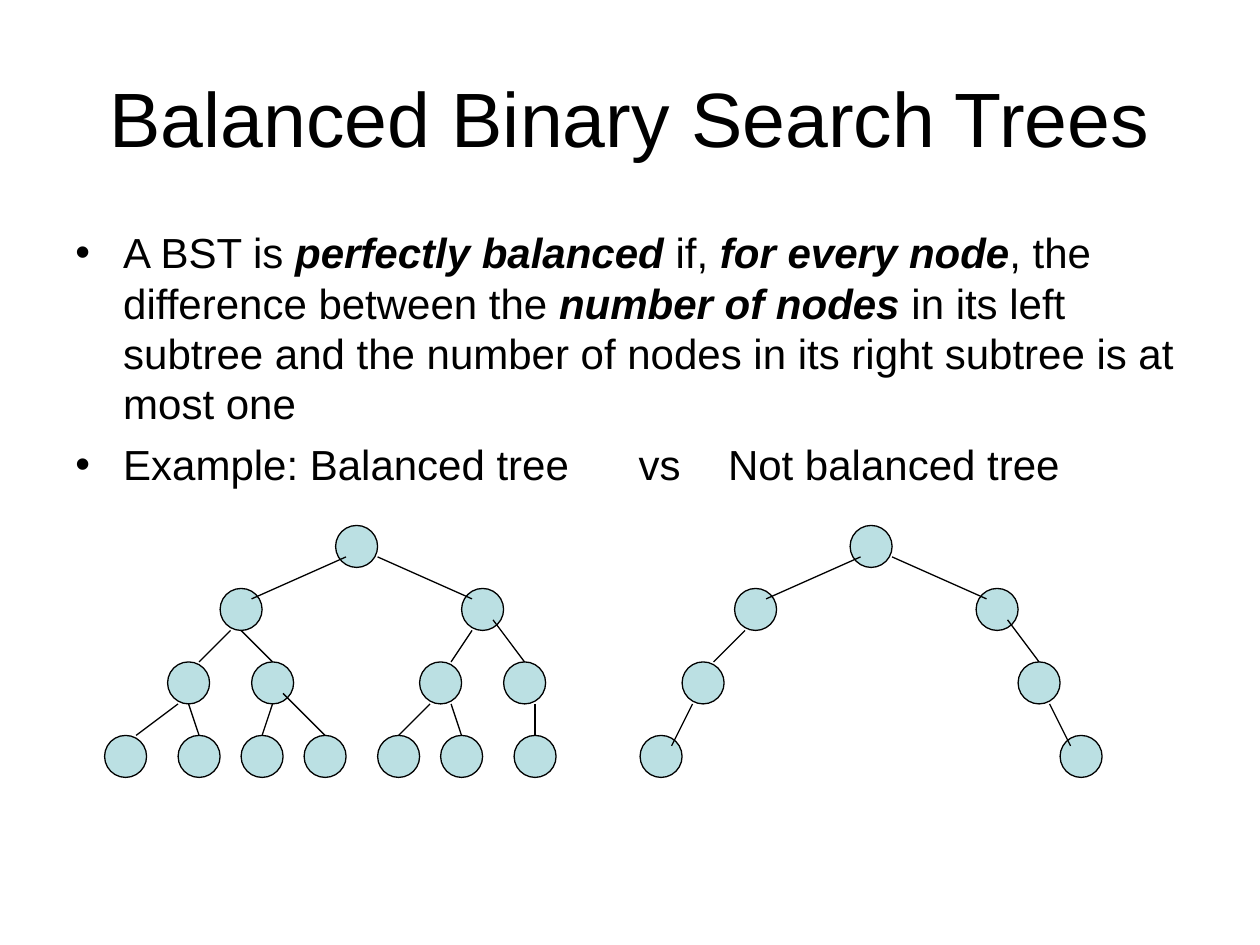
from lxml import etree
from pptx import Presentation
from pptx.dml.color import RGBColor
from pptx.enum.shapes import MSO_CONNECTOR, MSO_SHAPE
from pptx.enum.text import MSO_ANCHOR, PP_ALIGN
from pptx.oxml.ns import qn
from pptx.util import Inches, Pt

STRAIGHT = MSO_CONNECTOR.STRAIGHT
OVAL = MSO_SHAPE.OVAL
MIDDLE = MSO_ANCHOR.MIDDLE
CENTER = PP_ALIGN.CENTER

COLORS = {"ink": "000000", "node": "BBE0E3"}
FONT = "Arial"
GRID = 1 / 12
NODE_SIZE = 4
LINE_WIDTH = 0.74

STATEMENTS = [
    [("A BST is ", False), ("perfectly balanced", True), (" if, ", False),
     ("for every node", True), (", the difference between the ", False),
     ("number of nodes", True),
     (" in its left subtree and the number of nodes in its right subtree "
      "is at most one", False)],
    [("Example: Balanced tree\tvs\tNot balanced tree", False)],
]
COMPARISON_TABS = [4.47, 5.18]

BALANCED = {
    "nodes": [(22, 0), (11, 6), (6, 13), (14, 13), (0, 20), (7, 20), (13, 20),
              (19, 20), (34, 6), (30, 13), (38, 13), (26, 20), (32, 20), (39, 20)],
    "edges": [(23, 3, 14, 7), (26, 3, 35, 7), (12, 10, 9, 13), (13, 10, 16, 13),
              (7, 17, 3, 20), (8, 17, 9, 20), (16, 17, 15, 20), (17, 16, 21, 20),
              (35, 10, 33, 13), (37, 9, 40, 13), (31, 17, 28, 20),
              (33, 17, 34, 20), (41, 17, 41, 20)],
}
UNBALANCED = {
    "nodes": [(20, 0), (9, 6), (4, 13), (0, 20), (32, 6), (36, 13), (40, 20)],
    "edges": [(21, 3, 12, 7), (24, 3, 33, 7), (10, 10, 7, 13), (5, 17, 3, 21),
              (35, 9, 38, 13), (39, 17, 41, 21)],
}


def color(name):
    return RGBColor.from_string(COLORS[name])


def style_run(run, size, emphasis=False):
    run.font.name = FONT
    run.font.size = Pt(size)
    run.font.color.rgb = color("ink")
    run.font.bold = run.font.italic = emphasis


def style_line(line):
    line.color.rgb = color("ink")
    line.width = Pt(LINE_WIDTH)


def add_frame(slide, box):
    frame = slide.shapes.add_textbox(*map(Inches, box)).text_frame
    frame.word_wrap = True
    return frame


def add_title(slide, box, wording):
    frame = add_frame(slide, box)
    frame.vertical_anchor = MIDDLE
    frame.text = wording
    heading = frame.paragraphs[0]
    heading.alignment = CENTER
    style_run(heading.runs[0], 44)


def set_bullet(paragraph, tabs):
    properties = paragraph._p.get_or_add_pPr()
    properties.set("marL", str(Inches(0.38)))
    properties.set("indent", str(Inches(-0.38)))
    etree.SubElement(properties, qn("a:buFont"), typeface=FONT)
    etree.SubElement(properties, qn("a:buChar"), char="•")
    stops = etree.SubElement(properties, qn("a:tabLst"))
    for position in tabs:
        etree.SubElement(stops, qn("a:tab"), pos=str(Inches(position)), algn="l")


def add_statements(slide, box, statements):
    frame = add_frame(slide, box)
    for index, phrases in enumerate(statements):
        statement = frame.add_paragraph() if index else frame.paragraphs[0]
        statement.space_before = Pt(6)
        set_bullet(statement, COMPARISON_TABS)
        for wording, emphasis in phrases:
            run = statement.add_run()
            run.text = wording
            style_run(run, 24, emphasis)


def add_tree(slide, left, top, tree):
    def place(column, row):
        return Inches(left + column * GRID), Inches(top + row * GRID)

    diameter = Inches(NODE_SIZE * GRID)
    for position in tree["nodes"]:
        node = slide.shapes.add_shape(OVAL, *place(*position), diameter, diameter)
        node.shadow.inherit = False
        node.fill.solid()
        node.fill.fore_color.rgb = color("node")
        style_line(node.line)
    for edge in tree["edges"]:
        branch = slide.shapes.add_connector(
            STRAIGHT, *place(*edge[:2]), *place(*edge[2:]))
        style_line(branch.line)
        etree.SubElement(branch._element.spPr, qn("a:effectLst"))


presentation = Presentation()
presentation.slide_width = Inches(10)
presentation.slide_height = Inches(7.5)
slide = presentation.slides.add_slide(presentation.slide_layouts[6])
add_title(slide, (0.5, 0.3, 9, 1.25), "Balanced Binary Search Trees")
add_statements(slide, (0.5, 1.75, 9, 4.95), STATEMENTS)
add_tree(slide, 0.83, 4.17, BALANCED)
add_tree(slide, 5.08, 4.17, UNBALANCED)
presentation.save("out.pptx")
